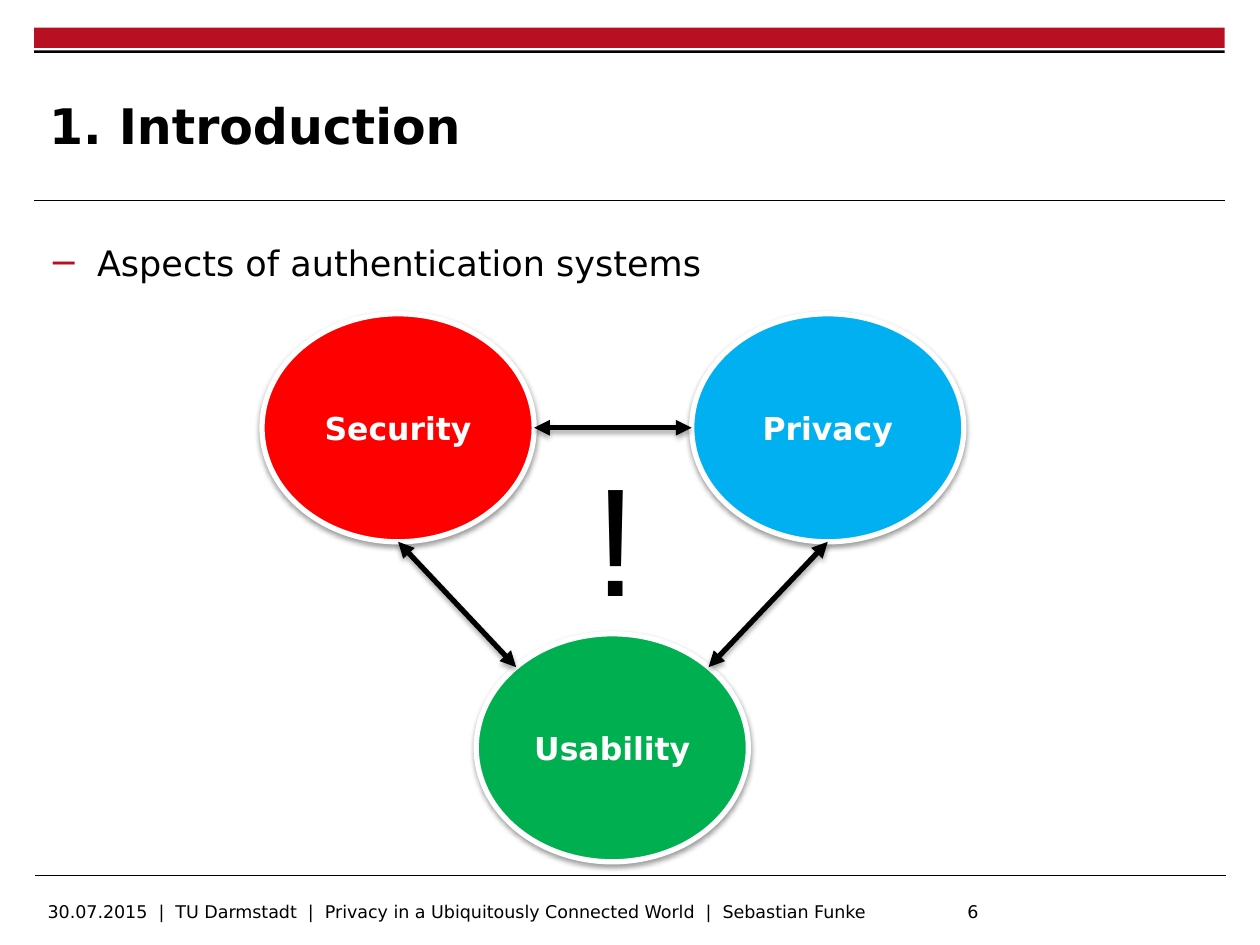
import math

import lxml.etree
import pptx
import pptx.dml.color
import pptx.enum.shapes
import pptx.enum.text
import pptx.oxml
import pptx.oxml.ns
import pptx.util

Inches = pptx.util.Inches
SHAPES = pptx.enum.shapes.MSO_SHAPE
ALIGN = pptx.enum.text.PP_ALIGN
ANCHOR = pptx.enum.text.MSO_ANCHOR
BLACK, WHITE, RED = "000000", "FFFFFF", "B90F22"
NAMESPACE = pptx.oxml.ns.nsdecls("a")
FONT = "DejaVu Sans"


def color(value):
    return pptx.dml.color.RGBColor.from_string(value)


def set_format(target, values):
    for name, value in values.items():
        setattr(target, name, value)


def write(shape, text, size, fill=BLACK, bold=False, font=FONT,
          align=ALIGN.LEFT, **frame_format):
    """Put one formatted paragraph into a shape and return it."""
    frame = shape.text_frame
    set_format(frame, {"word_wrap": True, **frame_format})
    paragraph = frame.paragraphs[0]
    paragraph.alignment = align
    run = paragraph.add_run()
    run.text = text
    set_format(run.font, {"name": font, "size": pptx.util.Pt(size), "bold": bold})
    run.font.color.rgb = color(fill)
    return paragraph


def add_paragraph_xml(paragraph, *fragments):
    properties = paragraph._p.get_or_add_pPr()
    for fragment in fragments:
        properties.append(pptx.oxml.parse_xml(fragment))
    return properties


def add_text_box(slide, left, top, width, height):
    return slide.shapes.add_textbox(*map(Inches, (left, top, width, height)))


def add_shadow(shape, distance, opacity):
    """Cast a soft black shadow straight down; no opacity means no shadow."""
    properties = shape._element.spPr
    for old in properties.findall(pptx.oxml.ns.qn("a:effectLst")):
        properties.remove(old)
    shadow = (
        f'<a:outerShdw blurRad="{pptx.util.Pt(3.1)}" dist="{pptx.util.Pt(distance)}" '
        f'dir="5400000" rotWithShape="0"><a:srgbClr val="{BLACK}">'
        f'<a:alpha val="{opacity * 1000}"/></a:srgbClr></a:outerShdw>'
    ) if opacity else ""
    properties.append(pptx.oxml.parse_xml(
        f"<a:effectLst {NAMESPACE}>{shadow}</a:effectLst>"))


def add_bar(slide, top, height, fill):
    bar = slide.shapes.add_shape(
        SHAPES.RECTANGLE, *map(Inches, (0.27, top, 9.45, height)))
    bar.shadow.inherit = False
    bar.fill.solid()
    bar.fill.fore_color.rgb = color(fill)
    bar.line.fill.background()


def add_line(slide, start, end, width):
    line = slide.shapes.add_connector(
        pptx.enum.shapes.MSO_CONNECTOR.STRAIGHT, *map(Inches, (*start, *end)))
    line.line.color.rgb = color(BLACK)
    line.line.width = pptx.util.Pt(width)
    return line


def add_rule(slide, left, top):
    add_shadow(add_line(slide, (left, top), (left + 9.45, top), 0.6), 0, 0)


def add_double_arrow(slide, start, end):
    arrow = add_line(slide, start, end, 3)
    outline = arrow.line._get_or_add_ln()
    for name in ("headEnd", "tailEnd"):
        lxml.etree.SubElement(
            outline, pptx.oxml.ns.qn(f"a:{name}"), {"type": "triangle"})
    add_shadow(arrow, 1.8, 35)


def add_aspect(slide, label, left, top, fill):
    """Draw one ellipse and return a function giving points on its rim."""
    width, height = 2.16, 1.81
    ellipse = slide.shapes.add_shape(
        SHAPES.OVAL, *map(Inches, (left, top, width, height)))
    ellipse.fill.solid()
    ellipse.fill.fore_color.rgb = color(fill)
    ellipse.line.color.rgb = color(WHITE)
    ellipse.line.width = pptx.util.Pt(3)
    add_shadow(ellipse, 1.6, 38)
    write(ellipse, label, 18, WHITE, True, align=ALIGN.CENTER,
          vertical_anchor=ANCHOR.MIDDLE)

    def rim(degrees):
        angle = math.radians(degrees)
        return (left + width / 2 * (1 + math.cos(angle)),
                top + height / 2 * (1 - math.sin(angle)))
    return rim


def add_frame(slide):
    add_bar(slide, 0.22, 0.16, RED)
    add_bar(slide, 0.4, 0.02, BLACK)
    add_rule(slide, 0.27, 1.59)
    add_rule(slide, 0.28, 6.95)
    # Footer, with the slide number at a tab stop
    footer = add_text_box(slide, 0.28, 7.1, 8.43, 0.25)
    paragraph = write(
        footer, "30.07.2015  |  TU Darmstadt  |  Privacy in a Ubiquitously "
        "Connected World  |  Sebastian Funke\t6", 10)
    add_paragraph_xml(
        paragraph, f'<a:tabLst {NAMESPACE}><a:tab pos="{Inches(7.3)}" algn="l"/></a:tabLst>')


def add_title(slide, text):
    title = slide.shapes.title
    set_format(title, {"left": Inches(0.39), "top": Inches(0.53),
                       "width": Inches(7.26), "height": Inches(0.92)})
    write(title, text, 28, bold=True, vertical_anchor=ANCHOR.MIDDLE,
          auto_size=pptx.enum.text.MSO_AUTO_SIZE.NONE,
          margin_left=0, margin_right=0, margin_top=0, margin_bottom=0)


def add_bullet(slide, text):
    body = add_text_box(slide, 0.39, 1.77, 9.25, 4.9)
    paragraph = write(body, text, 20, margin_left=0, margin_right=0)
    properties = add_paragraph_xml(
        paragraph,
        f'<a:buClr {NAMESPACE}><a:srgbClr val="{RED}"/></a:buClr>',
        f'<a:buFont {NAMESPACE} typeface="{FONT}"/>',
        f'<a:buChar {NAMESPACE} char="−"/>')
    properties.set("marL", str(Inches(0.38)))
    properties.set("indent", str(-Inches(0.38)))
    set_format(paragraph, {"line_spacing": 1.3, "space_after": pptx.util.Pt(2.3)})


def add_triangle(slide):
    security = add_aspect(slide, "Security", 2.08, 2.49, "FF0000")
    privacy = add_aspect(slide, "Privacy", 5.49, 2.49, "00B0F0")
    usability = add_aspect(slide, "Usability", 3.78, 5.03, "00B050")
    add_double_arrow(slide, security(270), usability(135))
    add_double_arrow(slide, privacy(270), usability(45))
    add_double_arrow(slide, privacy(180), security(0))
    write(add_text_box(slide, 4.62, 3.46, 0.94, 1.58), "!", 88, font="Arial")


def main():
    presentation = pptx.Presentation()
    set_format(presentation, {"slide_width": Inches(10), "slide_height": Inches(7.5)})
    slide = presentation.slides.add_slide(presentation.slide_layouts[5])
    add_frame(slide)
    add_title(slide, "1. Introduction")
    add_bullet(slide, "Aspects of authentication systems")
    add_triangle(slide)
    presentation.save("out.pptx")


if __name__ == "__main__":
    main()
